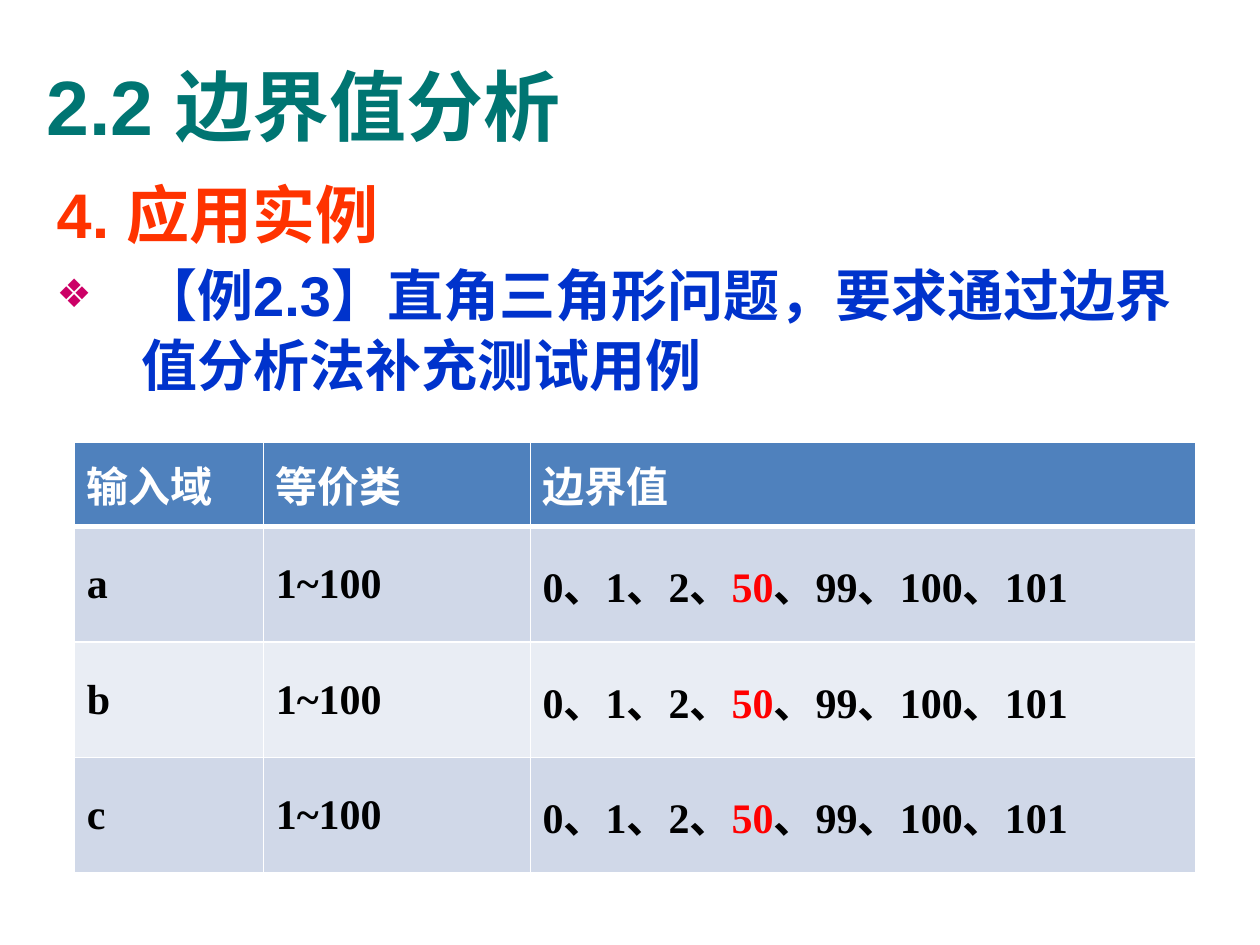
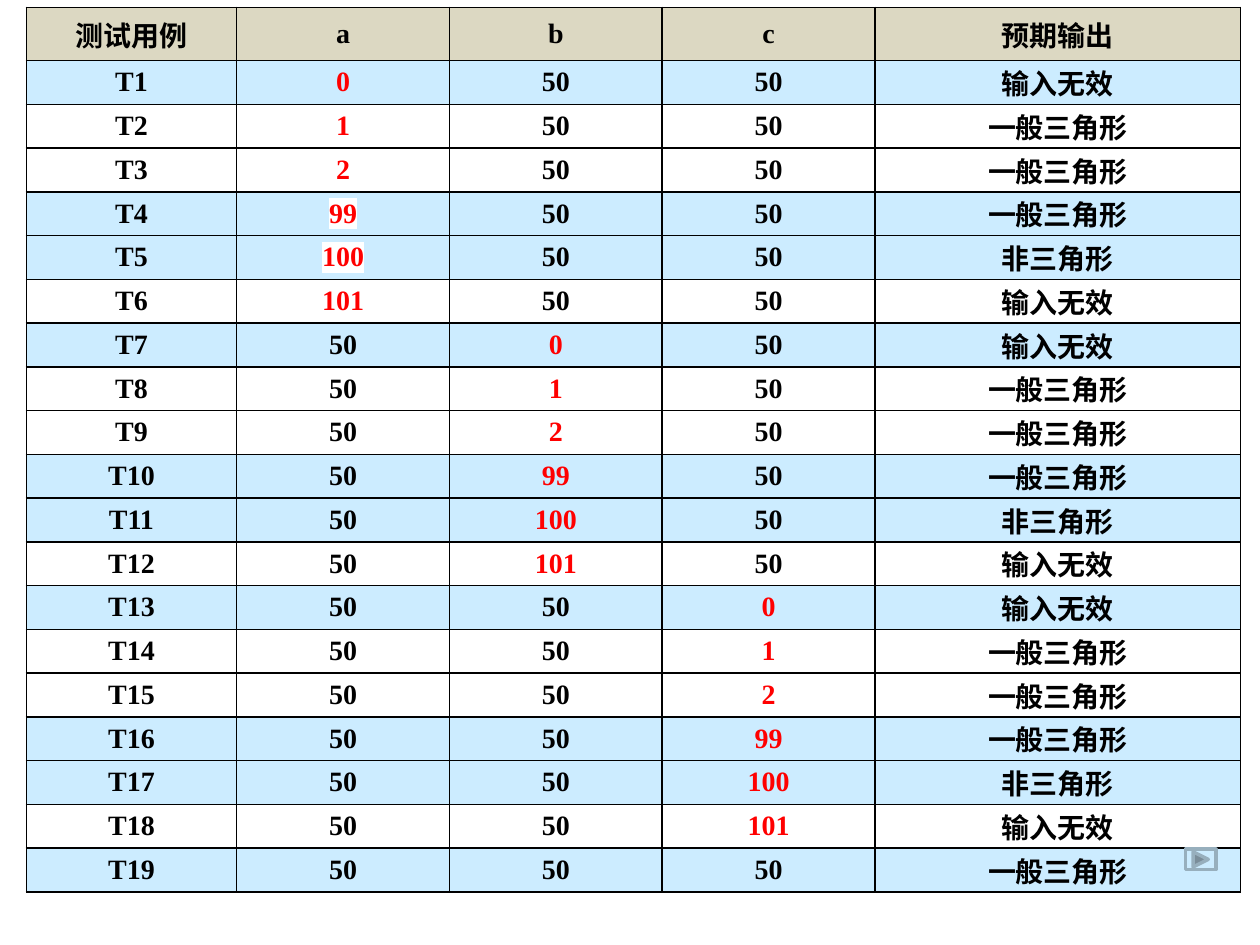
from dataclasses import dataclass

from lxml.etree import SubElement
from pptx import Presentation
from pptx.dml.color import RGBColor
from pptx.enum.shapes import MSO_SHAPE
from pptx.enum.text import MSO_ANCHOR, MSO_AUTO_SIZE, PP_ALIGN
from pptx.oxml.ns import qn
from pptx.util import Cm, Pt


@dataclass(frozen=True)
class Theme:
    """Colours, fonts and type sizes of the deck."""
    heading_font: str = "Arial"
    table_font: str = "Times New Roman"
    title: str = "007572"
    section: str = "FF3300"
    example: str = "0033CC"
    bullet: str = "CC0066"
    black: str = "000000"
    white: str = "FFFFFF"
    red: str = "FF0000"
    domain_header: str = "4F81BD"
    domain_bands: tuple = ("D0D8E8", "E9EDF4")
    case_header: str = "DCD8C2"
    case_shade: str = "CCECFF"
    button_line: str = "97AFBD"
    title_size: float = 44
    section_size: float = 36
    example_size: float = 32
    domain_size: float = 24
    case_size: float = 16


THEME = Theme()

TITLE = "2.2 边界值分析"
SECTION = "4. 应用实例"
EXAMPLE = "【例2.3】直角三角形问题，要求通过边界值分析法补充测试用例"

DOMAIN_HEADER = ("输入域", "等价类", "边界值")
INPUTS = ("a", "b", "c")
EQUIVALENCE_CLASS = "1~100"
NOMINAL = "50"
BOUNDARY_VALUES = ("0、1、2、", NOMINAL, "、99、100、101")
DOMAIN_WIDTHS = (3.81, 5.38, 13.41)

CASE_HEADER = ("测试用例", *INPUTS, "预期输出")
# Boundary value, expected output, shaded row
BOUNDARY_CASES = (
    ("0", "输入无效", True),
    ("1", "一般三角形", False),
    ("2", "一般三角形", False),
    ("99", "一般三角形", True),
    ("100", "非三角形", True),
    ("101", "输入无效", False),
)
NOMINAL_OUTPUT = "一般三角形"
MARKED_CASES = ("T4", "T5")
CASE_WIDTHS = (4.24, 4.29, 4.29, 4.29, 7.37)
CASE_HEADER_HEIGHT, CASE_HEIGHT = 1.07, 0.88


def color(value):
    """Turn a hex string into a colour."""
    return RGBColor.from_string(value)


def place(shape, left, top, width, height):
    """Set position and size in centimetres."""
    shape.left, shape.top = Cm(left), Cm(top)
    shape.width, shape.height = Cm(width), Cm(height)


def style(para, name, size, tint):
    """Give a whole paragraph one bold font."""
    font = para.font
    font.name, font.size, font.bold = name, Pt(size), True
    font.color.rgb = color(tint)


def add_bullet(para, character, tint, percent):
    """Add a coloured bullet, or none when character is empty."""
    properties = para._p.get_or_add_pPr()
    properties.set("marL", str(Cm(1.7)))
    properties.set("indent", str(-Cm(1.7)))
    if not character:
        SubElement(properties, qn("a:buNone"))
        return
    holder = SubElement(properties, qn("a:buClr"))
    SubElement(holder, qn("a:srgbClr")).set("val", tint)
    SubElement(properties, qn("a:buSzPct")).set("val", str(percent * 1000))
    SubElement(properties, qn("a:buChar")).set("char", character)


def highlight(span, tint):
    """Put a highlight behind a run."""
    holder = SubElement(span._r.get_or_add_rPr(), qn("a:highlight"))
    SubElement(holder, qn("a:srgbClr")).set("val", tint)


def set_borders(cell, tint, top=1, bottom=1):
    """Draw the four cell borders; widths are in points."""
    properties = cell._tc.get_or_add_tcPr()
    for side, width in (("L", 1), ("R", 1), ("T", top), ("B", bottom)):
        line = SubElement(properties, qn(f"a:ln{side}"), w=str(Pt(width)))
        fill = SubElement(line, qn("a:solidFill"))
        SubElement(fill, qn("a:srgbClr")).set("val", tint)


def set_margins(cell, across, down):
    """Set cell margins in centimetres."""
    cell.margin_left = cell.margin_right = Cm(across)
    cell.margin_top = cell.margin_bottom = Cm(down)


def fill_cell(cell, parts, fill, size, tint, red=()):
    """Write the parts as runs, red where listed, and return the paragraph."""
    cell.vertical_anchor = MSO_ANCHOR.MIDDLE
    if fill:
        cell.fill.solid()
        cell.fill.fore_color.rgb = color(fill)
    else:
        cell.fill.background()
    para = cell.text_frame.paragraphs[0]
    style(para, THEME.table_font, size, tint)
    for index, part in enumerate(parts):
        span = para.add_run()
        span.text = part
        if index in red:
            span.font.color.rgb = color(THEME.red)
    return para


def add_grid(page, left, top, widths, heights):
    """Add a plain table with the given columns and rows."""
    table = page.shapes.add_table(
        len(heights), len(widths), Cm(left), Cm(top),
        Cm(sum(widths)), Cm(sum(heights))).table
    table.first_row = table.horz_banding = False
    for column, width in zip(table.columns, widths):
        column.width = Cm(width)
    for row, height in zip(table.rows, heights):
        row.height = Cm(height)
    return table


def add_text(page):
    """Fill the title and body placeholders."""
    title, body = page.shapes.title, page.placeholders[1]
    place(title, 0.69, 0.53, 23.72, 3.18)
    title.text_frame.text = TITLE
    title.text_frame.vertical_anchor = MSO_ANCHOR.MIDDLE
    para = title.text_frame.paragraphs[0]
    para.alignment = PP_ALIGN.LEFT
    style(para, THEME.heading_font, THEME.title_size, THEME.title)

    place(body, 0.89, 3.33, 23.8, 15.01)
    frame = body.text_frame
    frame.auto_size = MSO_AUTO_SIZE.NONE
    frame.text = f"{SECTION}\n{EXAMPLE}"
    looks = ((THEME.section_size, THEME.section, ""),
             (THEME.example_size, THEME.example, "❖"))
    for para, (size, tint, character) in zip(frame.paragraphs, looks):
        add_bullet(para, character, THEME.bullet, 70)
        para.line_spacing = 1.05
        para.space_before = para.space_after = Pt(size * 0.05)
        style(para, THEME.heading_font, size, tint)


def add_domain_table(page):
    """Add the table of input domains and their boundary values."""
    rows = [[[text] for text in DOMAIN_HEADER]]
    rows += [[[name], [EQUIVALENCE_CLASS], BOUNDARY_VALUES] for name in INPUTS]
    table = add_grid(page, 1.5, 8.92, DOMAIN_WIDTHS, [1.7] * len(rows))
    for number, row in enumerate(rows):
        header = number == 0
        fill = THEME.domain_header if header else THEME.domain_bands[(number - 1) % 2]
        tint = THEME.white if header else THEME.black
        for column, parts in enumerate(row):
            cell = table.cell(number, column)
            set_margins(cell, 0.25, 0.08)
            set_borders(cell, THEME.white, top=3 if number == 1 else 1,
                        bottom=3 if header else 1)
            red = [index for index, part in enumerate(parts) if part == NOMINAL]
            para = fill_cell(cell, parts, fill, THEME.domain_size, tint, red)
            para.space_before = Pt(THEME.domain_size * 0.2)


def list_cases():
    """Vary one input at a time; yield values, varied column and shading."""
    number = 0
    for column in range(len(INPUTS)):
        for value, output, shaded in BOUNDARY_CASES:
            number += 1
            values = [NOMINAL] * len(INPUTS)
            values[column] = value
            yield (f"T{number}", *values, output), column + 1, shaded
    nominal = [NOMINAL] * len(INPUTS)
    yield (f"T{number + 1}", *nominal, NOMINAL_OUTPUT), None, True


def add_case_table(page):
    """Add the table of test cases."""
    cases = list(list_cases())
    heights = [CASE_HEADER_HEIGHT] + [CASE_HEIGHT] * len(cases)
    table = add_grid(page, 0.53, 0.15, CASE_WIDTHS, heights)
    rows = [(CASE_HEADER, None, THEME.case_header)]
    rows += [(texts, varied, THEME.case_shade if shaded else None)
             for texts, varied, shaded in cases]
    for number, (texts, varied, fill) in enumerate(rows):
        for column, text in enumerate(texts):
            cell = table.cell(number, column)
            if number and column == len(texts) - 1:
                set_margins(cell, 0, 0)
            set_borders(cell, THEME.black)
            red = [0] if column == varied else []
            para = fill_cell(cell, [text], fill, THEME.case_size, THEME.black, red)
            para.alignment = PP_ALIGN.CENTER
            if red and texts[0] in MARKED_CASES:
                highlight(para.runs[0], THEME.white)


def add_next_button(page):
    """Add the small forward button."""
    button = page.shapes.add_shape(
        MSO_SHAPE.ACTION_BUTTON_FORWARD_OR_NEXT,
        Cm(23.9), Cm(17.12), Cm(0.61), Cm(0.41))
    button.shadow.inherit = False
    button.fill.solid()
    button.fill.fore_color.rgb = color(THEME.case_shade)
    button.line.color.rgb = color(THEME.button_line)
    button.line.width = Pt(2)


def main():
    """Build both slides and save the deck."""
    deck = Presentation()
    deck.slide_width, deck.slide_height = Cm(25.4), Cm(19.05)

    example_page = deck.slides.add_slide(deck.slide_layouts[1])
    add_text(example_page)
    add_domain_table(example_page)

    case_page = deck.slides.add_slide(deck.slide_layouts[6])
    add_case_table(case_page)
    add_next_button(case_page)

    deck.save("out.pptx")


main()
